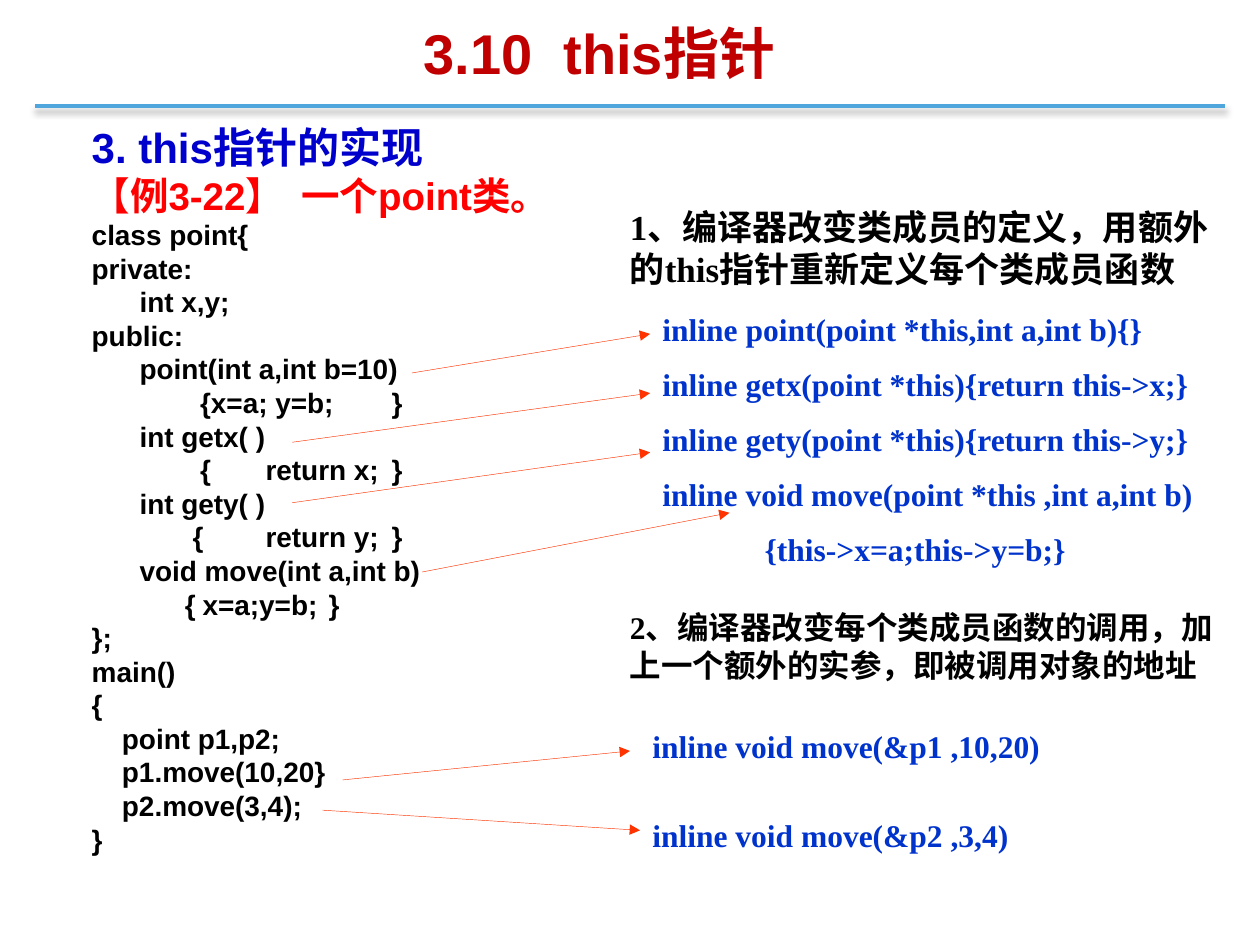
"""Build the slide on how the this pointer is implemented."""
from dataclasses import dataclass

from lxml import etree
from pptx import Presentation
from pptx import util as u
from pptx.dml.color import RGBColor
from pptx.enum import shapes, text
from pptx.oxml import ns

COLORS = {"title": "C00000", "heading": "0000CC", "example": "FF0000", "ink": "000000",
          "inline": "0033CC", "arrow": "FF3300", "rule": "4EA6DC", "edge": "FFFFFF"}
COLS, ROWS = 100, 75
SANS, SERIF = "Arial", "Times New Roman"
LEVEL, SPACE = 0.38, 0.06


@dataclass
class Line:
    text: str
    size: float = 16
    color: str = "ink"
    margin: float = 0
    indent: float = 0


@dataclass
class Block:
    box: tuple[float, float, float, float]
    lines: list[Line]
    font: str = SERIF
    before: float = 0
    spacing: float = 1
    align: text.PP_ALIGN = text.PP_ALIGN.LEFT
    anchor: text.MSO_ANCHOR = text.MSO_ANCHOR.TOP
    framed: bool = False


@dataclass
class Arrow:
    start: tuple[float, float]
    end: tuple[float, float]


def member(code: str) -> Line:
    return Line(code, margin=LEVEL)


def braces(code: str, spaces: int) -> Line:
    return Line(code, margin=LEVEL, indent=spaces * SPACE)


def statement(code: str) -> Line:
    return Line(code, indent=4 * SPACE)


def inline(code: str, margin: float = 0) -> Line:
    return Line(code, 18, "inline", margin)


CODE = [
    Line("3. this指针的实现", 24, "heading"),
    Line("【例3-22】  一个point类。", 22, "example"),
    Line("class point{"),
    Line("private:"),
    member("int x,y;"),
    Line("public:"),
    member("point(int a,int b=10)"),
    braces("{x=a; y=b;\t}", 8),
    member("int getx( )"),
    braces("{\treturn x;\t}", 8),
    member("int gety( )"),
    braces("{\treturn y;\t}", 7),
    member("void move(int a,int b)"),
    braces("{\tx=a;y=b;\t}", 6),
    Line("};"),
    Line("main()"),
    Line("{"),
    statement("point p1,p2;"),
    statement("p1.move(10,20}"),
    statement("p2.move(3,4);"),
    Line("}"),
]
MEMBERS = [
    inline("inline point(point *this,int a,int b){}"),
    inline("inline getx(point *this){return this->x;}"),
    inline("inline gety(point *this){return this->y;}"),
    inline("inline void move(point *this ,int a,int b)"),
    inline("{this->x=a;this->y=b;}", 0.81),
]
BLOCKS = [
    Block((5.1, 0.5, 85, 7.3), [Line("3.10  this指针", 32, "title")], SANS,
          align=text.PP_ALIGN.CENTER, anchor=text.MSO_ANCHOR.MIDDLE),
    Block((6.3, 9.9, 41.7, 62.2), CODE, SANS, before=0.24, spacing=0.8),
    Block((49, 15.8, 49.3, 7.7),
          [Line("1、编译器改变类成员的定义，用额外的this指针重新定义每个类成员函数", 20)],
          anchor=text.MSO_ANCHOR.MIDDLE, framed=True),
    Block((51.6, 24.1, 45.7, 22.1), MEMBERS, before=0.55),
    Block((50.8, 57.2, 45.7, 4), [inline("inline void move(&p1 ,10,20)")]),
    Block((50.8, 64.3, 45.7, 4), [inline("inline void move(&p2 ,3,4)")]),
    Block((49, 47.7, 49, 7.1),
          [Line("2、编译器改变每个类成员函数的调用，加上一个额外的实参，即被调用对象的地址", 18)],
          anchor=text.MSO_ANCHOR.MIDDLE, framed=True),
]
ARROWS = [
    Arrow((32.7, 29.6), (51.6, 26.5)),
    Arrow((23.2, 35.1), (51.6, 31.2)),
    Arrow((23.2, 39.9), (51.6, 35.9)),
    Arrow((33.5, 45.4), (57.9, 40.7)),
    Arrow((27.2, 61.9), (50, 59.6)),
    Arrow((25.6, 64.3), (50.8, 65.9)),
]

prs = Presentation()
prs.slide_width, prs.slide_height = u.Inches(10), u.Inches(7.5)


def x(cols: float) -> int:
    return round(prs.slide_width * cols / COLS)


def y(rows: float) -> int:
    return round(prs.slide_height * rows / ROWS)


def rgb(name: str) -> RGBColor:
    return RGBColor.from_string(COLORS[name])


def add_line(s, start: tuple, end: tuple, color: str, width: float):
    c = s.shapes.add_connector(shapes.MSO_CONNECTOR.STRAIGHT,
                               x(start[0]), y(start[1]), x(end[0]), y(end[1]))
    c.line.color.rgb = rgb(color)
    c.line.width = u.Pt(width)
    return c, etree.SubElement(c._element.spPr, ns.qn("a:effectLst"))


def add_rule(s) -> None:
    _, effects = add_line(s, (2.8, 8.4), (97.2, 8.4), "rule", 2.25)
    shadow = etree.SubElement(effects, ns.qn("a:outerShdw"), blurRad=str(u.Pt(4)),
                              dist=str(u.Pt(2.5)), dir="5400000", rotWithShape="0")
    shade = etree.SubElement(shadow, ns.qn("a:srgbClr"), val=COLORS["ink"])
    etree.SubElement(shade, ns.qn("a:alpha"), val="47000")


def add_arrow(s, arrow: Arrow) -> None:
    c, _ = add_line(s, arrow.start, arrow.end, "arrow", 0.25)
    etree.SubElement(c.line._get_or_add_ln(), ns.qn("a:tailEnd"), type="triangle")


def add_block(s, block: Block) -> None:
    left, top, width, height = block.box
    box = x(left), y(top), x(width), y(height)
    if block.framed:
        sp = s.shapes.add_shape(shapes.MSO_SHAPE.RECTANGLE, *box)
        sp.shadow.inherit = False
        sp.fill.background()
        sp.line.color.rgb = rgb("edge")
        sp.line.width = u.Pt(0.25)
    else:
        sp = s.shapes.add_textbox(*box)
    tf = sp.text_frame
    tf.word_wrap = True
    tf.vertical_anchor = block.anchor
    for i, line in enumerate(block.lines):
        p = tf.add_paragraph() if i else tf.paragraphs[0]
        p.text = line.text
        p.alignment = block.align
        p.line_spacing = block.spacing
        p.space_before = u.Pt(block.before * line.size)
        p.font.name = block.font
        p.font.size = u.Pt(line.size)
        p.font.bold = True
        p.font.color.rgb = rgb(line.color)
        pPr = p._p.get_or_add_pPr()
        pPr.set("marL", str(u.Inches(line.margin)))
        pPr.set("indent", str(u.Inches(line.indent)))


def main() -> None:
    s = prs.slides.add_slide(prs.slide_layouts[6])
    add_rule(s)
    for block in BLOCKS:
        add_block(s, block)
    for arrow in ARROWS:
        add_arrow(s, arrow)
    prs.save("out.pptx")


if __name__ == "__main__":
    main()
